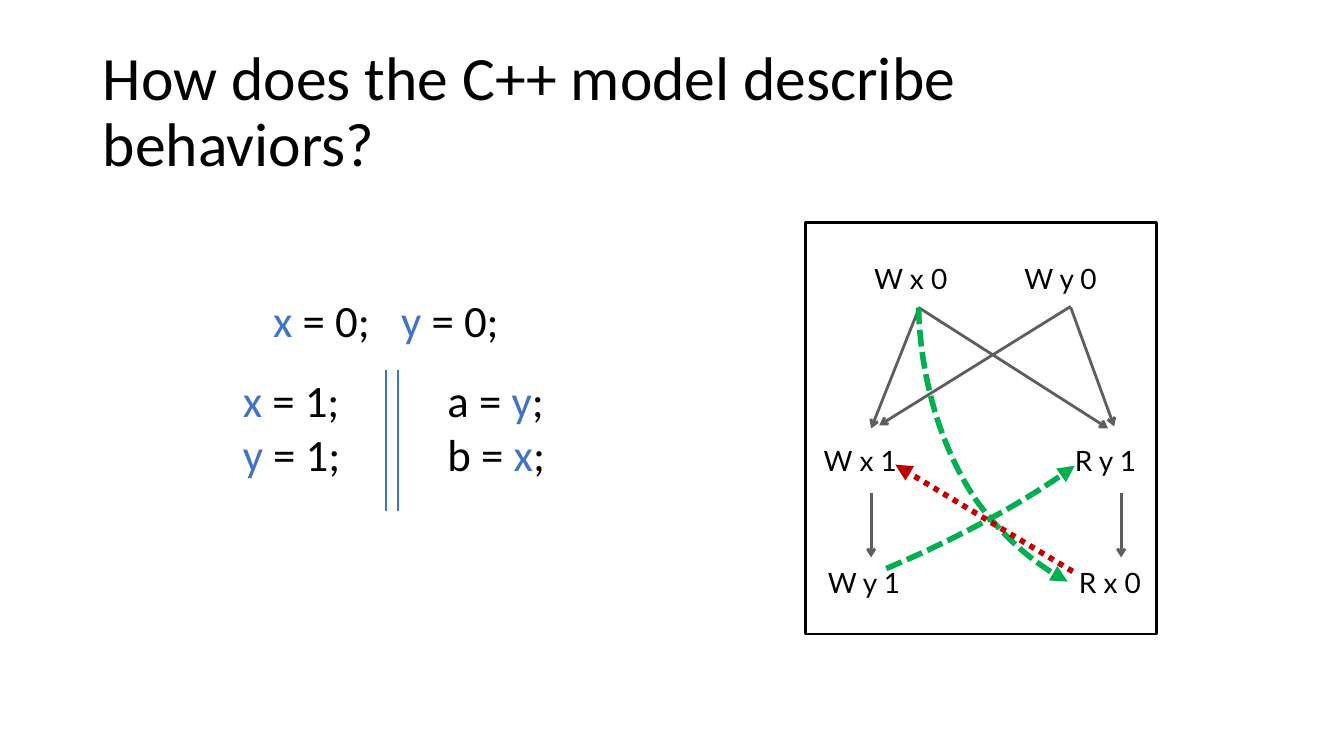
from lxml import etree
from pptx import Presentation
from pptx.dml.color import RGBColor
from pptx.enum.dml import MSO_LINE
from pptx.enum.shapes import MSO_CONNECTOR, MSO_SHAPE
from pptx.enum.text import MSO_ANCHOR, MSO_AUTO_SIZE, PP_ALIGN
from pptx.oxml.ns import qn
from pptx.util import Inches, Pt

STRAIGHT = MSO_CONNECTOR.STRAIGHT
DASHED, DOTTED = MSO_LINE.SQUARE_DOT, MSO_LINE.ROUND_DOT
COLORS = {"text": "000000", "variable": "4472C4", "order": "5E5E5E",
          "reads_from": "00B050", "from_read": "C00000"}
CURVE_STEPS = 24


def write_text(shape, paragraphs, size, font="Calibri", anchor=MSO_ANCHOR.TOP,
               inset=None, line_spacing=None, tab=None):
    """Fill a shape with paragraphs of spans; spans "x" and "y" are coloured as variables."""
    frame = shape.text_frame
    frame.word_wrap = True
    frame.auto_size = MSO_AUTO_SIZE.NONE
    frame.vertical_anchor = anchor
    if inset is not None:
        frame.margin_left = frame.margin_right = Inches(inset)
        frame.margin_top = frame.margin_bottom = Inches(inset)
    for index, spans in enumerate(paragraphs):
        para = frame.add_paragraph() if index else frame.paragraphs[0]
        para.alignment = PP_ALIGN.LEFT
        if line_spacing:
            para.line_spacing = line_spacing
        if tab:
            stops = etree.SubElement(para._p.get_or_add_pPr(), qn("a:tabLst"))
            etree.SubElement(stops, qn("a:tab"), pos=str(Inches(tab)), algn="l")
        for text in spans:
            span = para.add_run()
            span.text = text
            span.font.name = font
            span.font.size = Pt(size)
            role = "variable" if text in ("x", "y") else "text"
            span.font.color.rgb = RGBColor.from_string(COLORS[role])


def style_line(shape, role, width, dash=None, arrow=None):
    """Format a line or outline without shadow, with an optional arrowhead at its end."""
    shape.line.color.rgb = RGBColor.from_string(COLORS[role])
    shape.line.width = Pt(width)
    if dash:
        shape.line.dash_style = dash
    if arrow:
        etree.SubElement(shape.line._get_or_add_ln(), qn("a:tailEnd"), type=arrow)
    etree.SubElement(shape._element.spPr, qn("a:effectLst"))


deck = Presentation()
deck.slide_width, deck.slide_height = Inches(13.33), Inches(7.5)
page = deck.slides.add_slide(deck.slide_layouts[5])
shapes = page.shapes

title = shapes.title
title.left, title.top, title.width, title.height = map(Inches, (0.92, 0.4, 11.5, 1.45))
write_text(title, [["How does the C++ model describe behaviors?"]], 44,
           anchor=MSO_ANCHOR.MIDDLE, line_spacing=0.9)

# Events of the execution graph
events = [("W x 0", 8.63, 2.44), ("W y 0", 10.12, 2.44),
          ("W x 1", 8.13, 4.25), ("R y 1", 10.62, 4.25),
          ("W y 1", 8.17, 5.46), ("R x 0", 10.66, 5.46)]
for event, left, top in events:
    box = shapes.add_textbox(Inches(left), Inches(top), Inches(1), Inches(0.64))
    write_text(box, [[event]], 20, font="Lato", anchor=MSO_ANCHOR.MIDDLE, inset=0.04)

# Program order and initialisation order
order_edges = [((8.64, 4.89), (8.64, 5.53)), ((11.12, 4.89), (11.12, 5.53)),
               ((9.11, 3.07), (8.64, 4.25)), ((10.62, 3.05), (11.05, 4.23)),
               ((10.62, 3.04), (8.72, 4.22)), ((9.11, 3.05), (10.99, 4.25))]
for start, end in order_edges:
    edge = shapes.add_connector(STRAIGHT, *map(Inches, start + end))
    style_line(edge, "order", 2, arrow="arrow")

# Reads-from curves: a start point, then cubic segments of two controls and an end
reads_from = [
    [(8.79, 5.64), (9.2, 5.47), (9.62, 5.26), (10.01, 5.04),
     (10.25, 4.9), (10.47, 4.76), (10.66, 4.62)],
    [(9.11, 3.05), (9.13, 3.76), (9.33, 4.44), (9.68, 4.96),
     (9.94, 5.32), (10.25, 5.59), (10.59, 5.77)],
]
for knots in reads_from:
    points = []
    for first in range(0, len(knots) - 1, 3):
        for step in range(1, CURVE_STEPS + 1):
            t = step / CURVE_STEPS
            weights = ((1 - t) ** 3, 3 * t * (1 - t) ** 2, 3 * t ** 2 * (1 - t), t ** 3)
            segment = list(zip(weights, knots[first:first + 4]))
            points.append(tuple(Inches(sum(w * knot[axis] for w, knot in segment))
                                for axis in (0, 1)))
    builder = shapes.build_freeform(*map(Inches, knots[0]))
    builder.add_line_segments(points, close=False)
    curve = builder.convert_to_shape()
    curve.fill.background()
    style_line(curve, "reads_from", 4, DASHED, "triangle")

frame_box = shapes.add_shape(MSO_SHAPE.RECTANGLE, *map(Inches, (7.99, 2.21, 3.48, 4.08)))
frame_box.fill.background()
style_line(frame_box, "text", 2)

from_read = shapes.add_connector(STRAIGHT, *map(Inches, (10.64, 5.67, 8.88, 4.61)))
style_line(from_read, "from_read", 4, DOTTED, "triangle")

# Program: shared initialisation above two parallel threads
program = [
    ((2.31, 3.65, 1.67, 1.18), [["x", " = 1;"], ["y", " = 1;"]], None),
    ((4.34, 3.65, 1.67, 1.18), [["a = ", "y", ";"], ["b = ", "x", ";"]], None),
    ((2.61, 2.86, 2.59, 0.64), [["x", " = 0;\t", "y", " = 0;"]], 1.27),
]
for place, statements, tab in program:
    box = shapes.add_textbox(*map(Inches, place))
    write_text(box, statements, 32, tab=tab)

for x in (3.83, 3.95):
    bar = shapes.add_connector(STRAIGHT, *map(Inches, (x, 3.67, x, 5.07)))
    style_line(bar, "variable", 1.5)

deck.save("out.pptx")
